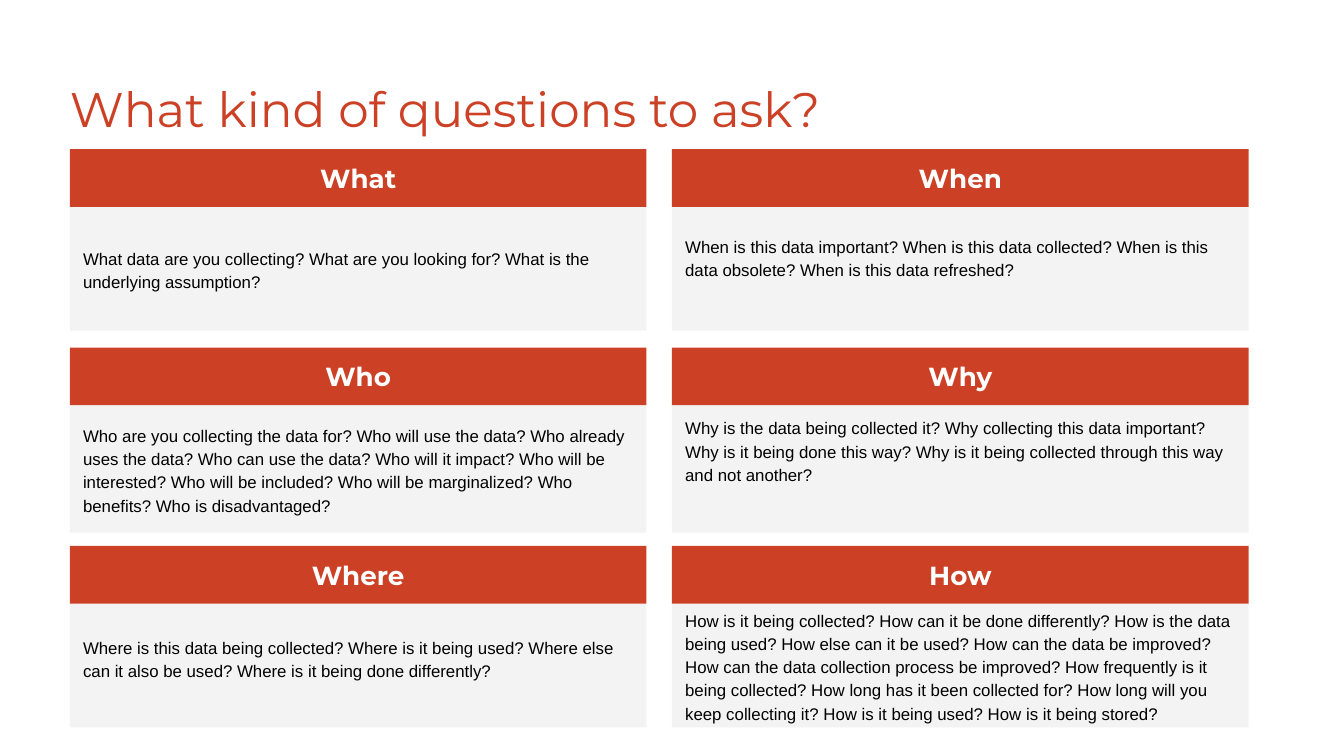
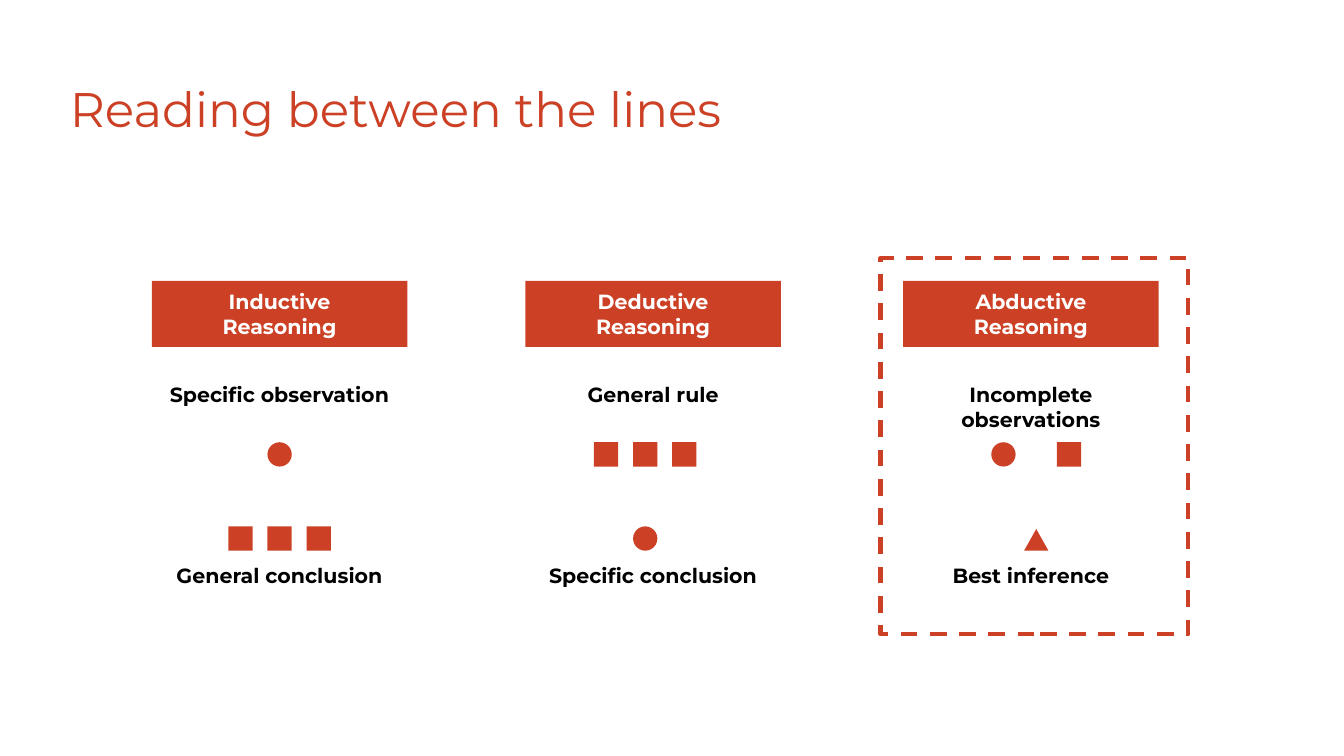
from pptx import Presentation
from pptx.dml.color import RGBColor
from pptx.enum.dml import MSO_LINE
from pptx.enum.shapes import MSO_SHAPE as SHAPE
from pptx.enum.text import MSO_ANCHOR as ANCHOR, MSO_AUTO_SIZE as FIT, PP_ALIGN as ALIGN
from pptx.util import Cm, Pt

COLORS = {"red": "CC4125", "gray": "F3F3F3", "white": "FFFFFF", "black": "000000"}

TITLE = {"name": "Montserrat", "size": Pt(26), "bold": False, "color": "red"}
HEADING = {"name": "Montserrat", "size": Pt(14), "bold": True, "color": "white"}
QUESTIONS = {"name": "Arial", "size": Pt(9), "bold": False, "color": "black"}
BAND = {"name": "Montserrat", "size": Pt(11), "bold": True, "color": "white"}
CAPTION = {**BAND, "color": "black"}

CARD_LEFTS = (1.32, 12.7)
CARD_W, CARD_TOP, CARD_PITCH, HEADING_H = 10.9, 2.82, 3.75, 1.09
BODY_HEIGHTS = (2.34, 2.41, 2.34)
CARDS = [
    [("What", "What data are you collecting? What are you looking for? What is the "
      "underlying assumption?", 0),
     ("When", "When is this data important? When is this data collected? When is this "
      "data obsolete? When is this data refreshed?", 0.44)],
    [("Who", "Who are you collecting the data for? Who will use the data? Who already "
      "uses the data? Who can use the data? Who will it impact? Who will be interested? "
      "Who will be included? Who will be marginalized? Who benefits? Who is "
      "disadvantaged?", 0),
     ("Why", "Why is the data being collected it? Why collecting this data important? "
      "Why is it being done this way? Why is it being collected through this way and "
      "not another?", 0.72)],
    [("Where", "Where is this data being collected? Where is it being used? Where else "
      "can it also be used? Where is it being done differently?", 0.28),
     ("How", "How is it being collected? How can it be done differently? How is the data "
      "being used? How else can it be used? How can the data be improved? How can the "
      "data collection process be improved? How frequently is it being collected? How "
      "long has it been collected for? How long will you keep collecting it? How is it "
      "being used? How is it being stored?", 0)],
]

BAND_W, MARK, MARK_PITCH = 4.83, 0.46, 0.74
SQUARE, CIRCLE, TRIANGLE = SHAPE.RECTANGLE, SHAPE.OVAL, SHAPE.ISOSCELES_TRIANGLE
REASONINGS = [
    (2.87, 0, MARK_PITCH, "Inductive", "Specific observation", [CIRCLE],
     "General conclusion", [SQUARE] * 3),
    (9.93, -0.15, MARK_PITCH, "Deductive", "General rule", [SQUARE] * 3,
     "Specific conclusion", [CIRCLE]),
    (17.07, 0.1, 1.24, "Abductive", "Incomplete observations", [CIRCLE, SQUARE],
     "Best inference", [TRIANGLE]),
]


def rgb(name):
    return RGBColor.from_string(COLORS[name])


def write(sp, lines, style, align=ALIGN.CENTER, anchor=ANCHOR.MIDDLE, spacing=1.0, pad=0):
    tf = sp.text_frame
    frame = {"word_wrap": True, "auto_size": FIT.NONE, "vertical_anchor": anchor,
             "margin_left": Cm(0.25), "margin_right": Cm(0.25),
             "margin_top": Cm(0.25), "margin_bottom": Cm(0.25 + pad)}
    for key, value in frame.items():
        setattr(tf, key, value)
    for i, line in enumerate(lines):
        p = tf.add_paragraph() if i else tf.paragraphs[0]
        p.alignment, p.line_spacing = align, spacing
        r = p.add_run()
        r.text = line
        for key in ("name", "size", "bold"):
            setattr(r.font, key, style[key])
        r.font.color.rgb = rgb(style["color"])


def add_shape(s, kind, x, y, w, h, fill="red"):
    sp = s.shapes.add_shape(kind, Cm(x), Cm(y), Cm(w), Cm(h))
    sp.shadow.inherit = False
    sp.fill.solid()
    sp.fill.fore_color.rgb = rgb(fill)
    sp.line.fill.background()
    return sp


def add_slide(prs, title):
    s = prs.slides.add_slide(prs.slide_layouts[5])
    sp = s.shapes.title
    box = {"left": Cm(1.07), "top": Cm(1.24), "width": Cm(23.67), "height": Cm(1.6)}
    for key, value in box.items():
        setattr(sp, key, value)
    write(sp, [title], TITLE, ALIGN.LEFT, ANCHOR.TOP)
    return s


def add_card(s, x, y, body_h, heading, questions, pad):
    body = add_shape(s, SHAPE.RECTANGLE, x, y + HEADING_H, CARD_W, body_h, "gray")
    write(body, [questions], QUESTIONS, ALIGN.LEFT, spacing=1.15, pad=pad)
    write(add_shape(s, SHAPE.RECTANGLE, x, y, CARD_W, HEADING_H), [heading], HEADING)


def add_caption(s, x, y, text):
    tb = s.shapes.add_textbox(Cm(x), Cm(y), Cm(BAND_W), Cm(0.91))
    write(tb, [text], CAPTION, anchor=ANCHOR.TOP)


def add_marks(s, center, bottom, pitch, kinds):
    first = center - pitch * (len(kinds) - 1) / 2 - MARK / 2
    for i, kind in enumerate(kinds):
        h = 0.41 if kind == TRIANGLE else MARK
        add_shape(s, kind, first + i * pitch, bottom - h, MARK, h)


def add_reasoning(s, x, shift, pitch, name, premise, premise_marks, result, result_marks):
    band = add_shape(s, SHAPE.RECTANGLE, x, 5.31, BAND_W, 1.25)
    write(band, [name, "Reasoning"], BAND)
    add_caption(s, x, 6.98, premise)
    add_caption(s, x, 10.39, result)
    center = x + BAND_W / 2 + shift
    add_marks(s, center, 8.82, pitch, premise_marks)
    add_marks(s, center, 10.41, pitch, result_marks)


def add_frame(s, x, y, w, h):
    sp = add_shape(s, SHAPE.RECTANGLE, x, y, w, h)
    sp.fill.background()
    sp.line.color.rgb = rgb("red")
    sp.line.width = Pt(2.25)
    sp.line.dash_style = MSO_LINE.DASH


def main():
    prs = Presentation()
    prs.slide_width, prs.slide_height = Cm(25.4), Cm(14.29)

    s = add_slide(prs, "What kind of questions to ask?")
    for row, (cards, body_h) in enumerate(zip(CARDS, BODY_HEIGHTS)):
        for x, card in zip(CARD_LEFTS, cards):
            add_card(s, x, CARD_TOP + row * CARD_PITCH, body_h, *card)

    s = add_slide(prs, "Reading between the lines")
    for reasoning in REASONINGS:
        add_reasoning(s, *reasoning)
    add_frame(s, 16.64, 4.88, 5.82, 7.11)

    prs.save("out.pptx")


if __name__ == "__main__":
    main()
